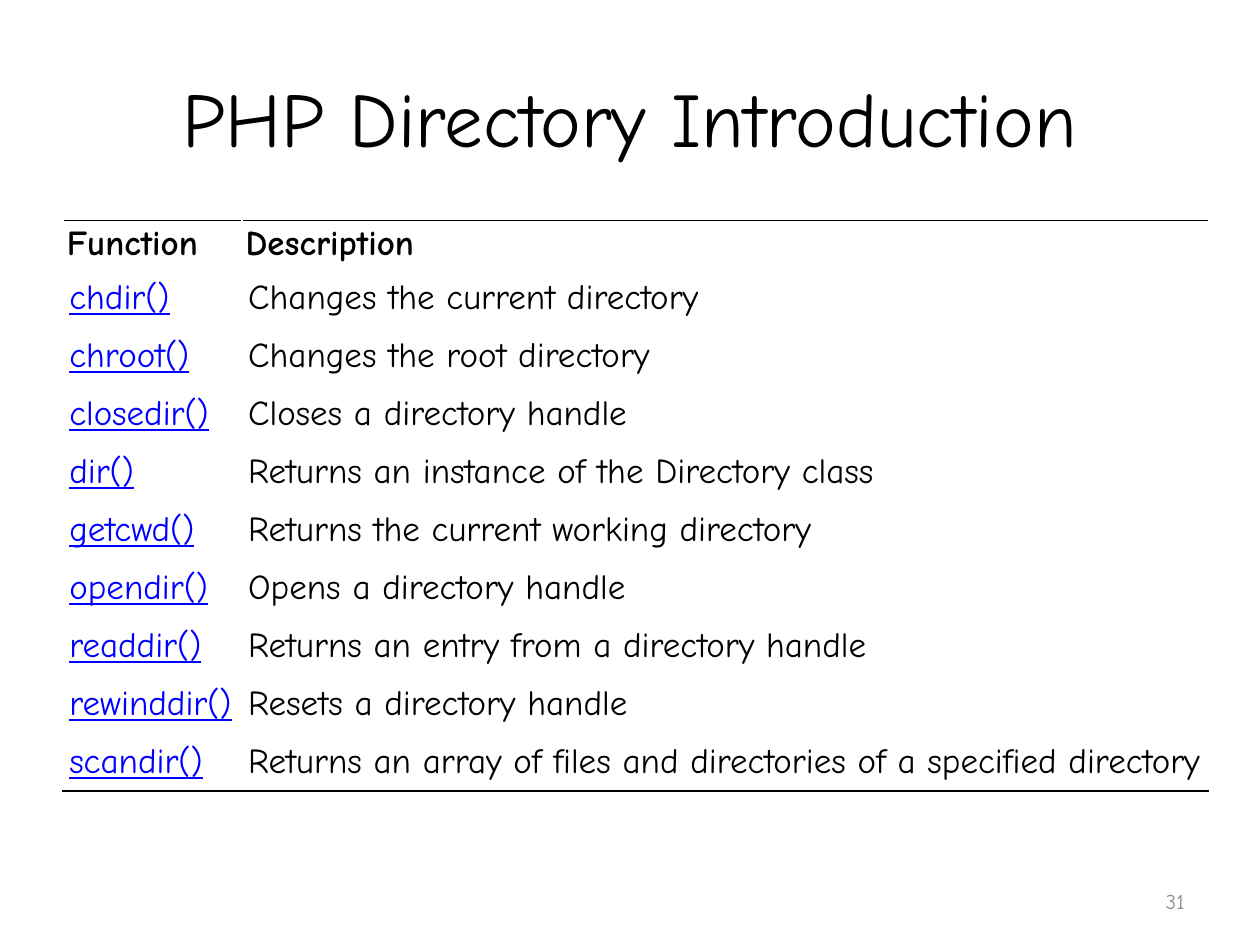
from dataclasses import dataclass

from lxml import etree
from pptx import Presentation
from pptx.dml.color import RGBColor
from pptx.enum.text import MSO_ANCHOR, PP_ALIGN
from pptx.oxml.ns import qn
from pptx.util import Inches, Pt

LEFT, CENTER, RIGHT = PP_ALIGN.LEFT, PP_ALIGN.CENTER, PP_ALIGN.RIGHT
TOP, MIDDLE = MSO_ANCHOR.TOP, MSO_ANCHOR.MIDDLE
WIDE, HIGH = 10, 7.5
EDGE = WIDE / 20  # side margin


@dataclass(frozen=True)
class Theme:
    font: str = "Comic Neue"
    ink: str = "000000"
    link: str = "0000FF"
    faint: str = "8C8C8C"
    head: int = 44
    body: int = 20
    note: int = 12
    rule: int = 1


THEME = Theme()

HEADS = ("Function", "Description")
ROWS = (
    ("chdir()", "Changes the current directory"),
    ("chroot()", "Changes the root directory"),
    ("closedir()", "Closes a directory handle"),
    ("dir()", "Returns an instance of the Directory class"),
    ("getcwd()", "Returns the current working directory"),
    ("opendir()", "Opens a directory handle"),
    ("readdir()", "Returns an entry from a directory handle"),
    ("rewinddir()", "Resets a directory handle"),
    ("scandir()", "Returns an array of files and directories of a specified directory"),
)
COLS = (1.42, 7.67)
HEAD_ROW, BODY_ROW = 0.39, 0.46


def write(frame, text, size=THEME.body, color=THEME.ink, align=LEFT,
          bold=False, under=False):
    """Put one formatted run of text in a frame."""
    frame.word_wrap = True
    para = frame.paragraphs[0]
    para.alignment = align
    run = para.add_run()
    run.text = text
    font = run.font
    font.name, font.size = THEME.font, Pt(size)
    font.bold, font.underline = bold, under
    font.color.rgb = RGBColor.from_string(color)


def place(shape, left, top, width, height):
    shape.left, shape.top = Inches(left), Inches(top)
    shape.width, shape.height = Inches(width), Inches(height)


def add_title(slide, text):
    title = slide.shapes.title
    place(title, EDGE, HIGH * 0.04, WIDE - 2 * EDGE, HIGH / 6)
    title.text_frame.vertical_anchor = MIDDLE
    write(title.text_frame, text, size=THEME.head, align=CENTER)


def add_rule(cell, tag):
    """Draw a cell border; lines come before the fill in tcPr."""
    line = etree.Element(qn(tag), w=str(Pt(THEME.rule)))
    fill = etree.SubElement(line, qn("a:solidFill"))
    etree.SubElement(fill, qn("a:srgbClr"), val=THEME.ink)
    cell._tc.get_or_add_tcPr().insert(0, line)


def fill_cell(cell, text, pad_x, pad_y, **form):
    cell.margin_left = cell.margin_right = Inches(pad_x)
    cell.margin_top = cell.margin_bottom = Inches(pad_y)
    cell.vertical_anchor = TOP
    cell.fill.background()
    write(cell.text_frame, text, **form)


def add_list(slide):
    count = len(ROWS) + 1
    tall = HEAD_ROW + BODY_ROW * len(ROWS)
    table = slide.shapes.add_table(
        count, len(COLS), Inches(EDGE), Inches(1.75),
        Inches(sum(COLS)), Inches(tall)).table
    table.first_row = table.horz_banding = False
    for col, width in zip(table.columns, COLS):
        col.width = Inches(width)
    for i, row in enumerate(table.rows):
        row.height = Inches(BODY_ROW if i else HEAD_ROW)

    # Header row
    for cell, text in zip(table.rows[0].cells, HEADS):
        fill_cell(cell, text, 0.03, 0.03, bold=True)
        add_rule(cell, "a:lnT")

    # One row per function
    for i, (name, about) in enumerate(ROWS, 1):
        fill_cell(table.cell(i, 0), name, 0.05, 0.07,
                  color=THEME.link, under=True)
        fill_cell(table.cell(i, 1), about, 0.05, 0.07)
    for cell in table.rows[count - 1].cells:
        add_rule(cell, "a:lnB")


def add_number(slide, text):
    width = WIDE * 0.23
    box = slide.shapes.add_textbox(
        Inches(WIDE - EDGE - width), Inches(6.95), Inches(width), Inches(0.4))
    box.text_frame.vertical_anchor = MIDDLE
    write(box.text_frame, text, size=THEME.note, color=THEME.faint, align=RIGHT)


def main():
    deck = Presentation()
    deck.slide_width, deck.slide_height = Inches(WIDE), Inches(HIGH)
    slide = deck.slides.add_slide(deck.slide_layouts[5])  # title only
    add_title(slide, "PHP Directory Introduction")
    add_list(slide)
    add_number(slide, "31")
    deck.save("out.pptx")


if __name__ == "__main__":
    main()
